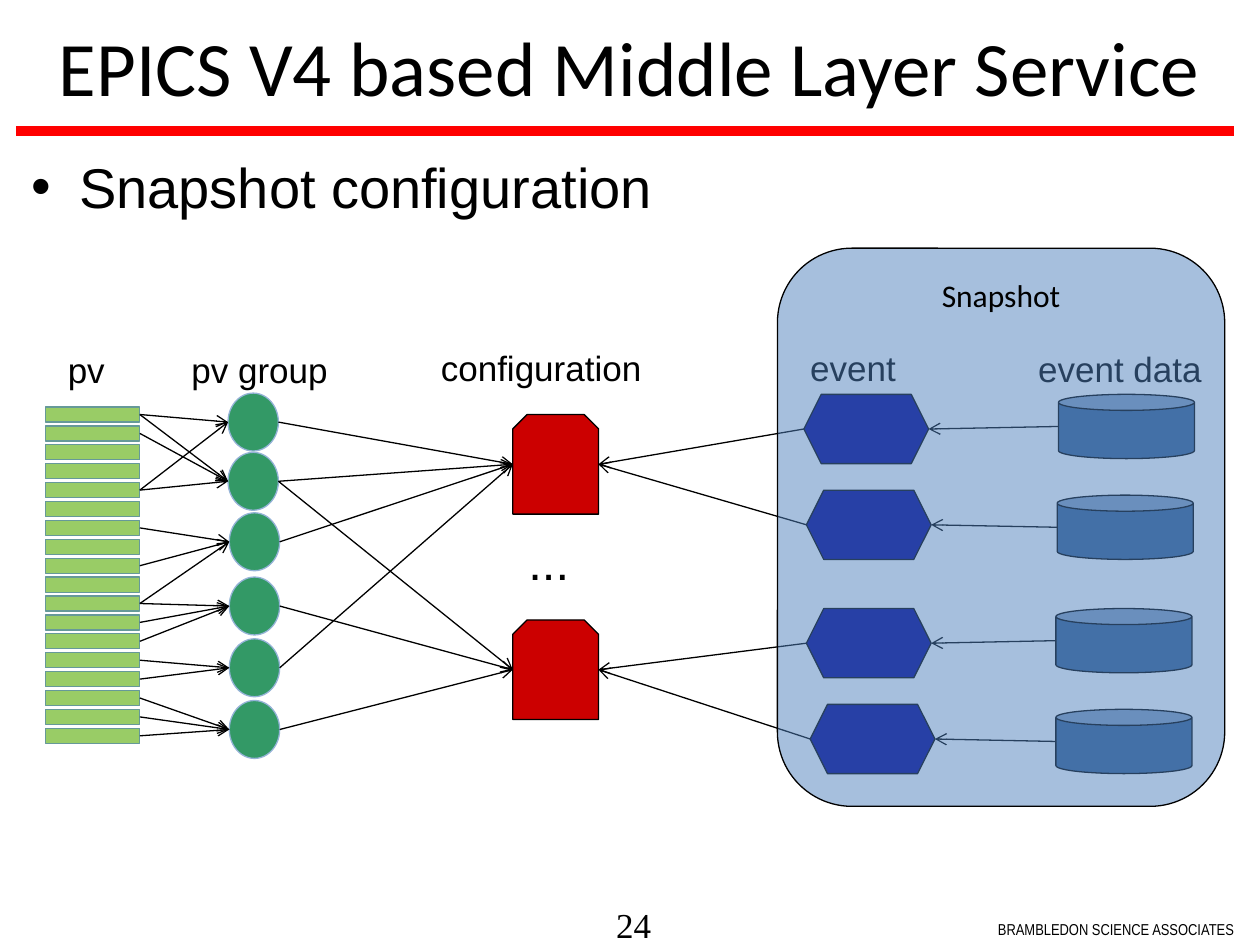
import dataclasses
import typing

import pptx
import pptx.dml.color
import pptx.enum.shapes
import pptx.enum.text
import pptx.oxml
import pptx.oxml.ns
import pptx.oxml.xmlchemy
import pptx.util
from lxml import etree

Inches = pptx.util.Inches
Pt = pptx.util.Pt
Form = pptx.enum.shapes.MSO_SHAPE
Align = pptx.enum.text.PP_ALIGN
Anchor = pptx.enum.text.MSO_ANCHOR
qn = pptx.oxml.ns.qn


@dataclasses.dataclass(frozen=True)
class Theme:
    ink: str = "000000"
    rule: str = "FF0000"
    panel: str = "4F81BD"
    sans: str = "Arial"
    head: str = "Calibri"
    title: int = 44
    body: int = 32
    dots: int = 28
    label: int = 20
    panel_size: int = 18
    foot: int = 9
    thin: float = 0.75
    thick: float = 6


THEME = Theme()


@dataclasses.dataclass(frozen=True)
class Kind:
    form: typing.Any
    fill: str
    edge: str
    wide: float
    high: float


@dataclasses.dataclass(frozen=True)
class Label:
    text: str
    left: float
    top: float
    wide: float
    high: float
    size: int = THEME.label
    font: str = THEME.sans
    align: typing.Any = Align.CENTER
    anchor: typing.Any = Anchor.TOP
    inset: tuple[float, float] = (0.1, 0.05)
    wrap: bool = True


PV = Kind(Form.RECTANGLE, "99CC66", "669999", 0.75, 0.12)
GROUP = Kind(Form.OVAL, "339966", "95B3D7", 0.4, 0.46)
CONFIG = Kind(Form.SNIP_2_SAME_RECTANGLE, "CC0000", THEME.ink, 0.68, 0.79)
EVENT = Kind(Form.HEXAGON, "000090", THEME.ink, 0.99, 0.55)
DATA = Kind(Form.CAN, "376092", THEME.ink, 1.08, 0.51)
PANEL = Kind(Form.ROUNDED_RECTANGLE, THEME.panel, THEME.ink, 3.55, 4.43)

LABELS = [
    Label("24", 4.89, 7.17, 0.43, 0.33, font="Times New Roman",
          align=Align.LEFT, inset=(0, 0)),
    Label("BRAMBLEDON SCIENCE ASSOCIATES", 7.92, 7.25, 1.92, 0.25, THEME.foot,
          "Arial Narrow", Align.LEFT, inset=(0, 0.05), wrap=False),
    Label("EPICS V4 based Middle Layer Service", 0, 0, 10, 1.04, THEME.title,
          THEME.head, anchor=Anchor.MIDDLE),
    Label("pv", 0.21, 2.72, 0.95, 0.39),
    Label("pv group", 1.4, 2.72, 1.32, 0.39),
    Label("configuration", 3.4, 2.7, 1.81, 0.39, align=Align.LEFT),
    Label("...", 3.98, 4.17, 0.75, 0.52, THEME.dots),
    Label("event", 6.11, 2.7, 1.32, 0.4),
    Label("event data", 8.14, 2.71, 1.52, 0.39, align=Align.LEFT),
]

GROUP_SPOTS = [(1.81, 3.12), (1.81, 3.59), (1.82, 4.07),
               (1.82, 4.58), (1.82, 5.07), (1.82, 5.56)]
CONFIG_SPOTS = [(4.07, 3.29), (4.07, 4.92)]
EVENT_SPOTS = [(6.38, 3.13), (6.4, 3.89), (6.4, 4.83), (6.43, 5.59)]
DATA_SPOTS = [(8.4, 3.13), (8.39, 3.93), (8.38, 4.83), (8.38, 5.63)]

# Members of each group and groups of each configuration, by row number
PV_SETS = [(0, 4), (0, 1, 4), (6, 8, 10), (10, 11, 12), (13, 14), (15, 16, 17)]
GROUP_SETS = [(0, 1, 2, 4), (1, 3, 5)]


def tint(code: str):
    return pptx.dml.color.RGBColor.from_string(code)


def style(para, size: int, font: str, align=Align.LEFT) -> None:
    para.alignment = align
    for run in para.runs:
        run.font.size = Pt(size)
        run.font.name = font
        run.font.color.rgb = tint(THEME.ink)


def write(slide, label: Label):
    box = slide.shapes.add_textbox(*map(
        Inches, (label.left, label.top, label.wide, label.high)))
    frame = box.text_frame
    frame.word_wrap = label.wrap
    frame.vertical_anchor = label.anchor
    frame.margin_left = frame.margin_right = Inches(label.inset[0])
    frame.margin_top = frame.margin_bottom = Inches(label.inset[1])
    frame.text = label.text
    style(frame.paragraphs[0], label.size, label.font, label.align)
    return box


def bullet(slide, label: Label) -> None:
    para = write(slide, label).text_frame.paragraphs[0]
    props = para._p.get_or_add_pPr()
    props.set("marL", str(Inches(0.38)))
    props.set("indent", str(Inches(-0.38)))
    etree.SubElement(props, qn("a:buFont")).set("typeface", THEME.sans)
    etree.SubElement(props, qn("a:buChar")).set("char", "•")


def place(slide, kind: Kind, left: float, top: float):
    shape = slide.shapes.add_shape(kind.form, *map(
        Inches, (left, top, kind.wide, kind.high)))
    shape.shadow.inherit = False
    shape.fill.solid()
    shape.fill.fore_color.rgb = tint(kind.fill)
    shape.line.color.rgb = tint(kind.edge)
    shape.line.width = Pt(THEME.thin)
    return shape


def row(slide, kind: Kind, spots) -> list:
    return [place(slide, kind, *spot) for spot in spots]


def stroke(slide, start, end, color: str, width: float):
    line = slide.shapes.add_connector(
        pptx.enum.shapes.MSO_CONNECTOR.STRAIGHT, *start, *end)
    line.line.color.rgb = tint(color)
    line.line.width = Pt(width)
    etree.SubElement(line._element.spPr, qn("a:effectLst"))
    return line


def link(slide, source, goal) -> None:
    """Draw an arrow between the facing sides of two shapes."""
    east = source.left < goal.left
    ends = [(item.left + item.width * right, item.top + item.height // 2)
            for item, right in ((source, east), (goal, not east))]
    line = stroke(slide, *ends, THEME.ink, THEME.thin)
    tail = etree.SubElement(line.line._get_or_add_ln(), qn("a:tailEnd"))
    tail.set("type", "arrow")
    if source.auto_shape_type == Form.RECTANGLE:
        line.begin_connect(source, 3)


def join(slide, sources: list, goals: list, sets) -> None:
    for goal, members in zip(goals, sets):
        for num in members:
            link(slide, sources[num], goal)


def cover(slide) -> None:
    """Lay the half-clear snapshot panel over events and data."""
    panel = place(slide, PANEL, 6.17, 1.97)
    code = panel._element.spPr.find(qn("a:solidFill")).find(qn("a:srgbClr"))
    etree.SubElement(code, qn("a:alpha")).set("val", "50000")
    frame = panel.text_frame
    frame.vertical_anchor = Anchor.TOP
    frame.text = "Snapshot"
    style(frame.paragraphs[0], THEME.panel_size, THEME.head, Align.CENTER)


def main() -> None:
    deck = pptx.Presentation()
    deck.slide_width, deck.slide_height = Inches(10), Inches(7.5)
    slide = deck.slides.add_slide(deck.slide_layouts[6])

    stroke(slide, (Inches(9.79), Inches(1.04)), (Inches(0.13), Inches(1.04)),
           THEME.rule, THEME.thick)
    for label in LABELS:
        write(slide, label)
    bullet(slide, Label("Snapshot configuration", 0.15, 1.16, 9.42, 0.99,
                        THEME.body, align=Align.LEFT))

    pvs = row(slide, PV, [(0.36, 3.23 + 0.15 * num) for num in range(18)])
    groups = row(slide, GROUP, GROUP_SPOTS)
    configs = row(slide, CONFIG, CONFIG_SPOTS)
    events = row(slide, EVENT, EVENT_SPOTS)
    data = row(slide, DATA, DATA_SPOTS)
    join(slide, pvs, groups, PV_SETS)
    join(slide, groups, configs, GROUP_SETS)
    join(slide, events, configs, [(0, 1), (2, 3)])
    join(slide, data, events, [(num,) for num in range(len(data))])
    cover(slide)
    deck.save("out.pptx")


if __name__ == "__main__":
    main()
